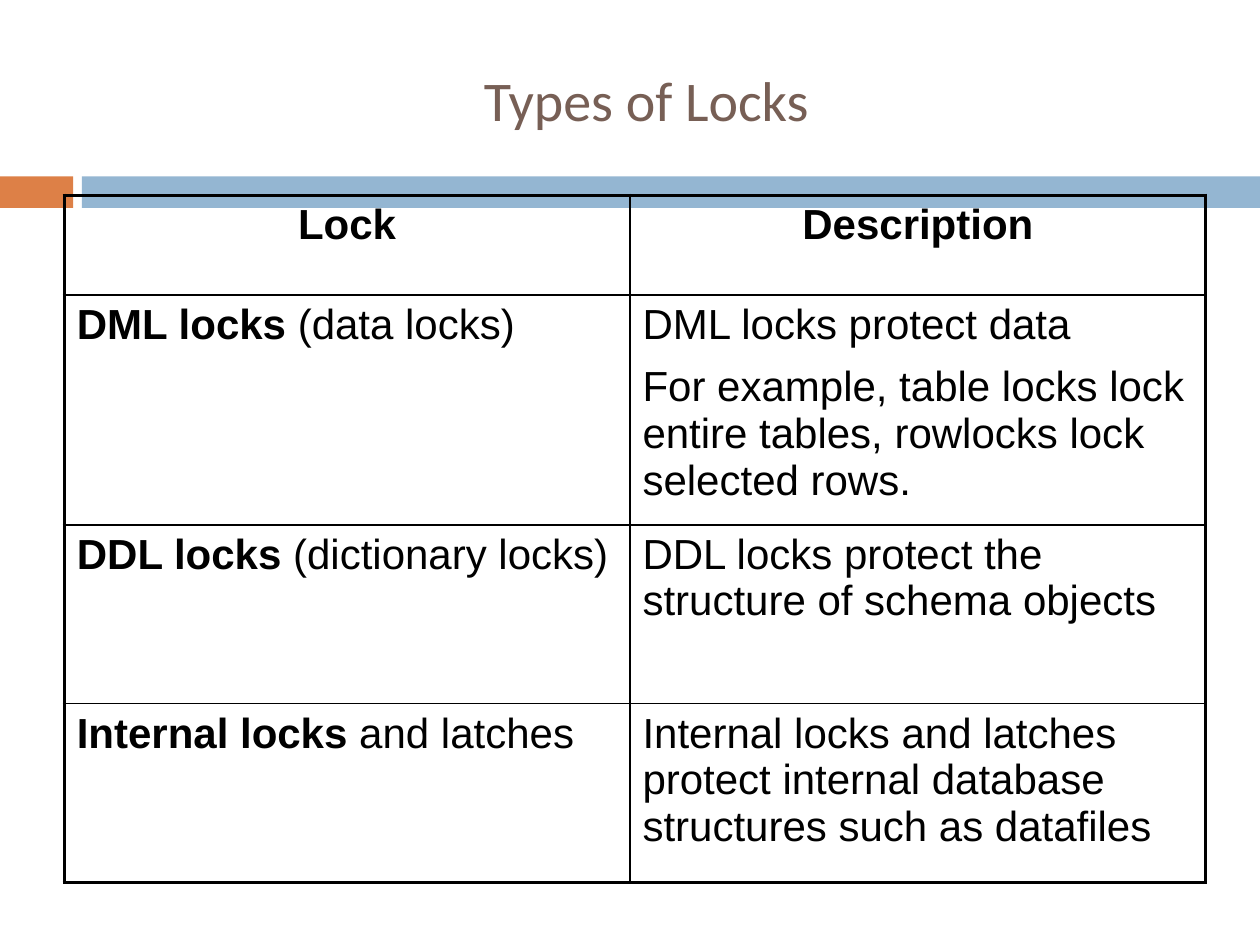
from lxml import etree
from pptx import Presentation
from pptx.dml.color import RGBColor
from pptx.enum.shapes import MSO_SHAPE
from pptx.enum.text import MSO_ANCHOR, PP_ALIGN
from pptx.oxml.ns import qn
from pptx.util import Inches, Pt

RECTANGLE = MSO_SHAPE.RECTANGLE
MIDDLE = MSO_ANCHOR.MIDDLE
LEFT, CENTER = PP_ALIGN.LEFT, PP_ALIGN.CENTER

BLACK, BROWN, ORANGE, BLUE = "000000", "775F55", "DD8047", "94B6D2"
OUTER, INNER = 2.25, 1

# Each cell is a list of paragraphs, each paragraph a list of (text, bold) runs
LOCKS = [
    [[[("Lock", True)]], [[("Description", True)]]],
    [[[("DML locks", True), (" (data locks)", False)]],
     [[("DML locks protect data", False)],
      [("For example, table locks lock entire tables, "
        "rowlocks lock selected rows.", False)]]],
    [[[("DDL locks", True), (" (dictionary locks)", False)]],
     [[("DDL locks protect the structure of schema objects", False)]]],
    [[[("Internal locks", True), (" and latches", False)]],
     [[("Internal locks and latches protect internal database "
        "structures such as datafiles", False)]]],
]


def color(value):
    return RGBColor.from_string(value)


class LockSlide:
    title_font, table_font = "Calibri", "Arial"
    title_size, table_size = 32, 24
    paragraph_gap = 9

    def __init__(self, slide):
        self.slide = slide

    def add_run(self, paragraph, text, font, size, fill, bold=False):
        run = paragraph.add_run()
        run.text = text
        run.font.name = font
        run.font.size = Pt(size)
        run.font.bold = bold
        run.font.color.rgb = color(fill)

    def band(self, left, top, width, height, fill):
        bar = self.slide.shapes.add_shape(
            RECTANGLE, Inches(left), Inches(top), Inches(width), Inches(height))
        bar.shadow.inherit = False
        bar.fill.solid()
        bar.fill.fore_color.rgb = color(fill)
        bar.line.fill.background()

    def title(self, text, left, top, width, height):
        frame = self.slide.shapes.add_textbox(
            Inches(left), Inches(top), Inches(width), Inches(height)).text_frame
        frame.word_wrap = True
        frame.vertical_anchor = MIDDLE
        heading = frame.paragraphs[0]
        heading.alignment = CENTER
        self.add_run(heading, text, self.title_font, self.title_size, BROWN)

    def borders(self, cell, widths):
        properties = cell._tc.get_or_add_tcPr()
        for position, (side, width) in enumerate(widths.items()):
            line = etree.Element(qn(f"a:ln{side}"), w=str(Pt(width)))
            fill = etree.SubElement(line, qn("a:solidFill"))
            etree.SubElement(fill, qn("a:srgbClr"), val=BLACK)
            properties.insert(position, line)

    def fill_cell(self, cell, paragraphs, alignment):
        cell.fill.background()
        frame = cell.text_frame
        for index, runs in enumerate(paragraphs):
            paragraph = frame.add_paragraph() if index else frame.paragraphs[0]
            paragraph.alignment = alignment
            if index:
                paragraph.space_before = Pt(self.paragraph_gap)
            for text, bold in runs:
                self.add_run(paragraph, text, self.table_font,
                             self.table_size, BLACK, bold)

    def table(self, rows, left, top, widths, heights):
        grid = self.slide.shapes.add_table(
            len(rows), len(widths), Inches(left), Inches(top),
            Inches(sum(widths)), Inches(sum(heights))).table
        grid.first_row = grid.horz_banding = False
        for column, width in zip(grid.columns, widths):
            column.width = Inches(width)
        for row, height in zip(grid.rows, heights):
            row.height = Inches(height)
        last_row, last_column = len(rows) - 1, len(widths) - 1
        for r, row in enumerate(rows):
            for c, paragraphs in enumerate(row):
                cell = grid.cell(r, c)
                self.fill_cell(cell, paragraphs, LEFT if r else CENTER)
                self.borders(cell, {
                    "L": OUTER if c == 0 else INNER,
                    "R": OUTER if c == last_column else INNER,
                    "T": OUTER if r == 0 else INNER,
                    "B": OUTER if r == last_row else INNER,
                })


def main():
    deck = Presentation()
    deck.slide_width, deck.slide_height = Inches(10), Inches(7.5)
    page = LockSlide(deck.slides.add_slide(deck.slide_layouts[6]))

    # Coloured bands under the title
    page.band(0, 1.4, 0.58, 0.25, ORANGE)
    page.band(0.65, 1.4, 9.35, 0.25, BLUE)

    # Title
    page.title("Types of Locks", 0.67, 0.25, 8.92, 1.08)

    # Lock types and their descriptions
    page.table(LOCKS, 0.51, 1.55, [4.49, 4.57], [0.79] + [1.42] * 3)

    deck.save("out.pptx")


if __name__ == "__main__":
    main()
